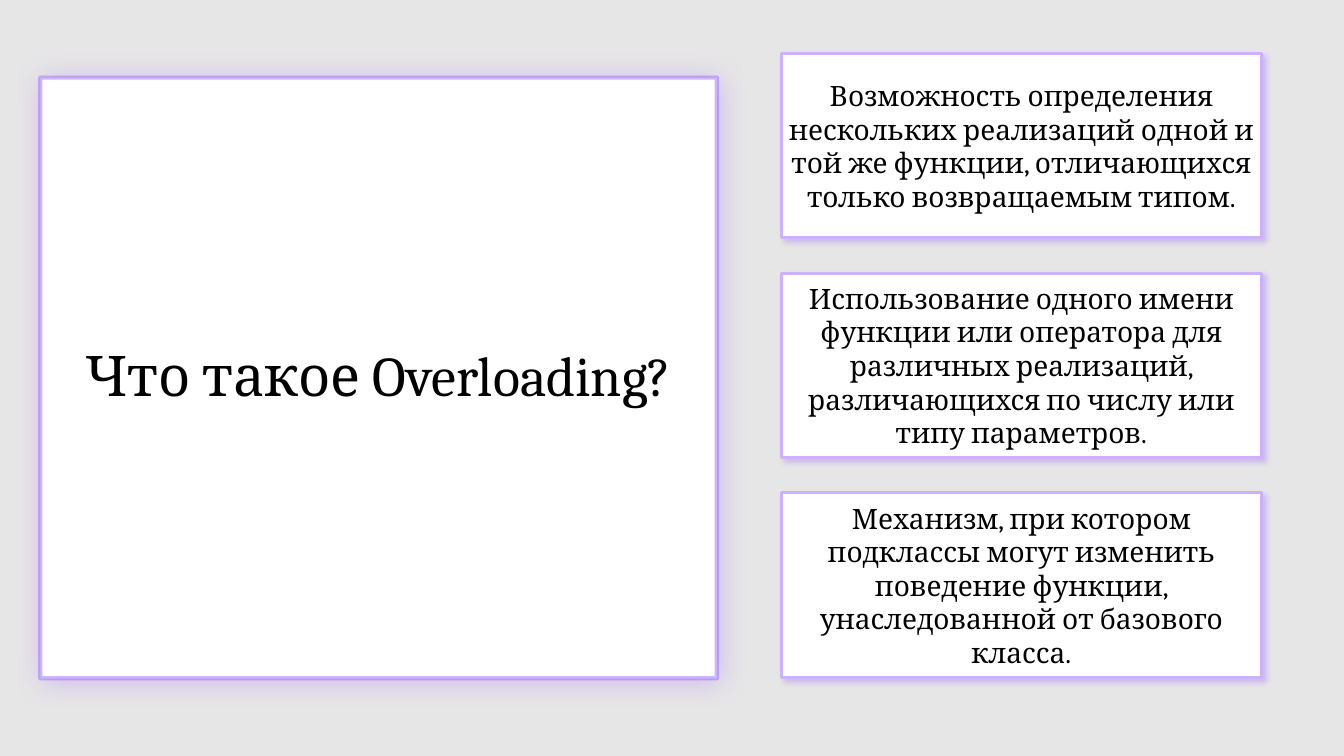
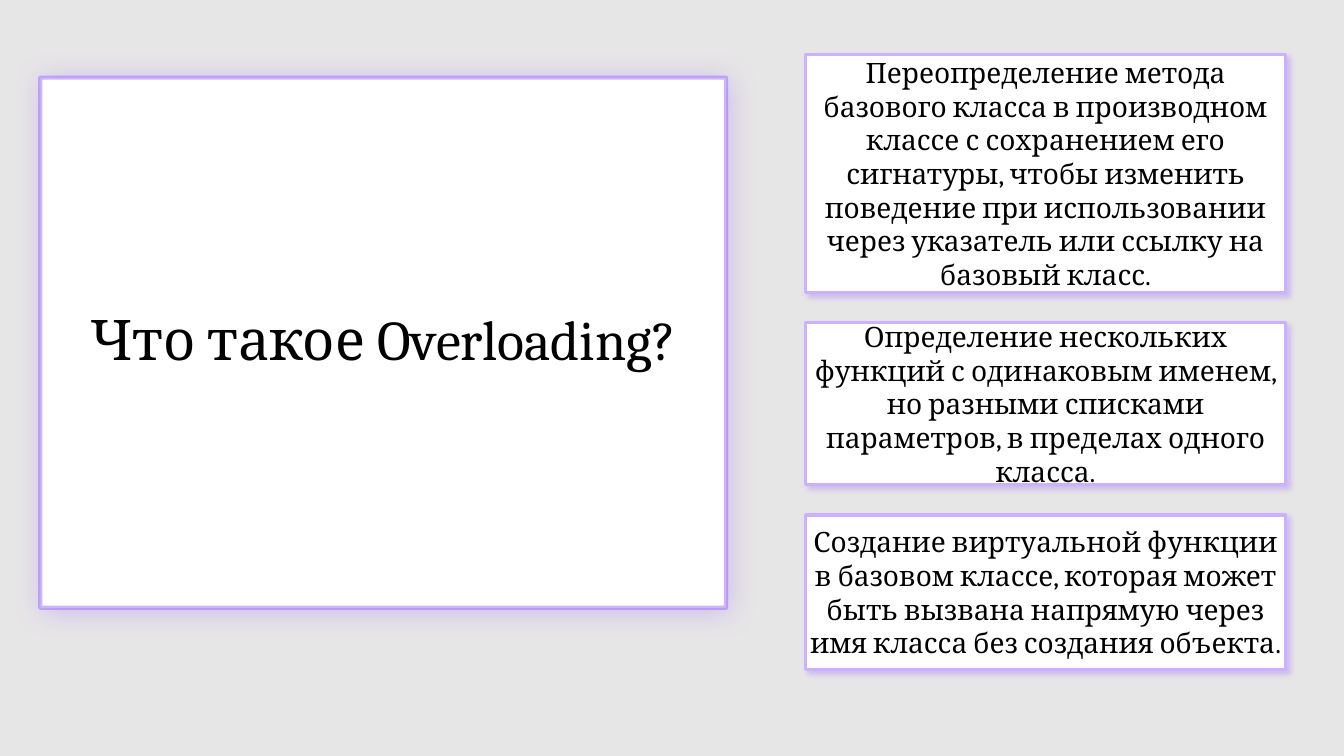
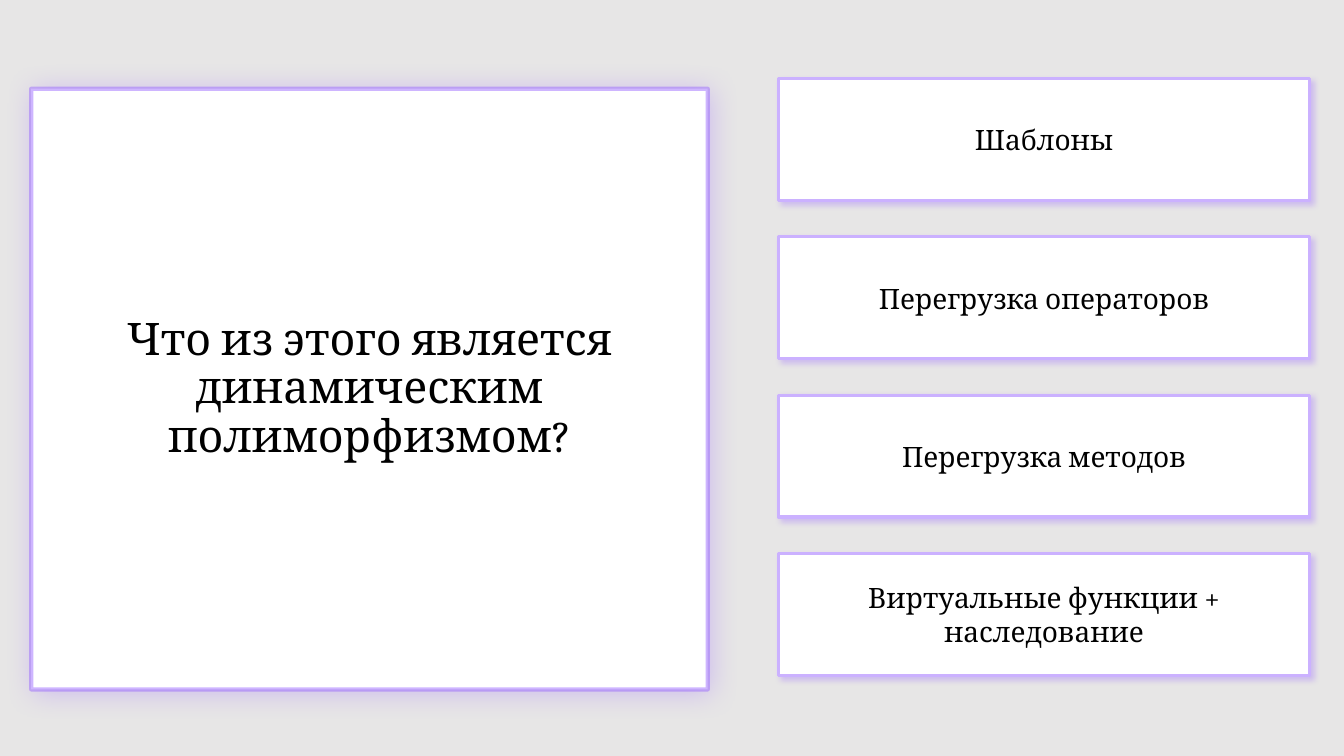
from pptx import Presentation
from pptx.dml.color import RGBColor
from pptx.enum.shapes import MSO_SHAPE
from pptx.enum.text import MSO_ANCHOR, MSO_AUTO_SIZE, PP_ALIGN
from pptx.oxml.ns import qn
from pptx.util import Inches, Pt
from lxml.etree import SubElement

HUES = {"back": "E7E6E6", "card": "FFFFFF", "text": "000000",
        "edge": "CBB1FF", "glow": "9966FF"}
FONT = "Cambria"

SLIDES = [
    {"title": "Что такое Overloading?", "size": 40, "box": (0.4, 0.77, 6.71, 5.96),
     "left": 7.75, "top": 0.53, "width": 4.76, "gap": 0.35,
     "cards": [
         ("Возможность определения нескольких реализаций одной и той же функции, "
          "отличающихся только возвращаемым типом.", 1.83),
         ("Использование одного имени функции или оператора для различных реализаций, "
          "различающихся по числу или типу параметров.", 1.83),
         ("Механизм, при котором подклассы могут изменить поведение функции, "
          "унаследованной от базового класса.", 1.83)]},
    {"title": "Что такое Overloading?", "size": 40, "box": (0.4, 0.77, 6.8, 5.26),
     "left": 7.99, "top": 0.54, "width": 4.76, "gap": 0.3,
     "cards": [
         ("Переопределение метода базового класса в производном классе с сохранением "
          "его сигнатуры, чтобы изменить поведение при использовании через указатель "
          "или ссылку на базовый класс.", 2.36),
         ("Определение нескольких функций с одинаковым именем, но разными списками "
          "параметров, в пределах одного класса.", 1.61),
         ("Создание виртуальной функции в базовом классе, которая может быть вызвана "
          "напрямую через имя класса без создания объекта.", 1.53)]},
    {"title": "Что из этого является динамическим полиморфизмом?", "size": 32,
     "box": (0.31, 0.88, 6.71, 5.96),
     "left": 7.72, "top": 0.78, "width": 5.27, "gap": 0.36,
     "cards": [
         ("Шаблоны", 1.21),
         ("Перегрузка операторов", 1.21),
         ("Перегрузка методов", 1.21),
         ("Виртуальные функции + наследование", 1.21)]},
]


def hue(name):
    return RGBColor.from_string(HUES[name])


def write(shape, text, size=20, space=1.0, pad=(0, 0)):
    frame = shape.text_frame
    frame.text = text
    frame.word_wrap = True
    frame.auto_size = MSO_AUTO_SIZE.NONE
    frame.vertical_anchor = MSO_ANCHOR.MIDDLE
    frame.margin_left = frame.margin_right = Inches(pad[0])
    frame.margin_top = frame.margin_bottom = Inches(pad[1])
    para = frame.paragraphs[0]
    para.alignment = PP_ALIGN.CENTER
    para.line_spacing = space
    font = para.runs[0].font
    font.name, font.size = FONT, Pt(size)
    font.color.rgb = hue("text")


def fade(color, share):
    SubElement(color, qn("a:alpha"), val=str(share * 1000))


def frame_box(shape, edge, width, blur, shade, clear=None):
    shape.fill.solid()
    shape.fill.fore_color.rgb = hue("card")
    shape.line.color.rgb = hue(edge)
    shape.line.width = Pt(width)
    shape.shadow.inherit = False
    props = shape._element.spPr
    if clear:
        fade(props.find(".//" + qn("a:ln") + "//" + qn("a:srgbClr")), clear)
    cast = SubElement(props.find(qn("a:effectLst")), qn("a:outerShdw"),
                      blurRad=str(Pt(blur)), dist=str(Pt(3)), dir=str(45 * 60000),
                      algn="tl", rotWithShape="0")
    fade(SubElement(cast, qn("a:srgbClr"), val=HUES["glow"]), shade)


def build(deck, data):
    slide = deck.slides.add_slide(deck.slide_layouts[5])
    title = slide.shapes.title
    title.left, title.top, title.width, title.height = map(Inches, data["box"])
    frame_box(title, "glow", 3, 20, 34, clear=47)
    write(title, data["title"], size=data["size"], space=0.9, pad=(0.1, 0.05))
    top = data["top"]
    for text, height in data["cards"]:
        card = slide.shapes.add_shape(
            MSO_SHAPE.RECTANGLE, Inches(data["left"]), Inches(top),
            Inches(data["width"]), Inches(height))
        frame_box(card, "edge", 2.25, 4, 32)
        write(card, text)
        top += height + data["gap"]


def main():
    deck = Presentation()
    deck.slide_width, deck.slide_height = Inches(13.33), Inches(7.5)
    back = deck.slide_master.background.fill
    back.solid()
    back.fore_color.rgb = hue("back")
    for data in SLIDES:
        build(deck, data)
    deck.save("out.pptx")


if __name__ == "__main__":
    main()
